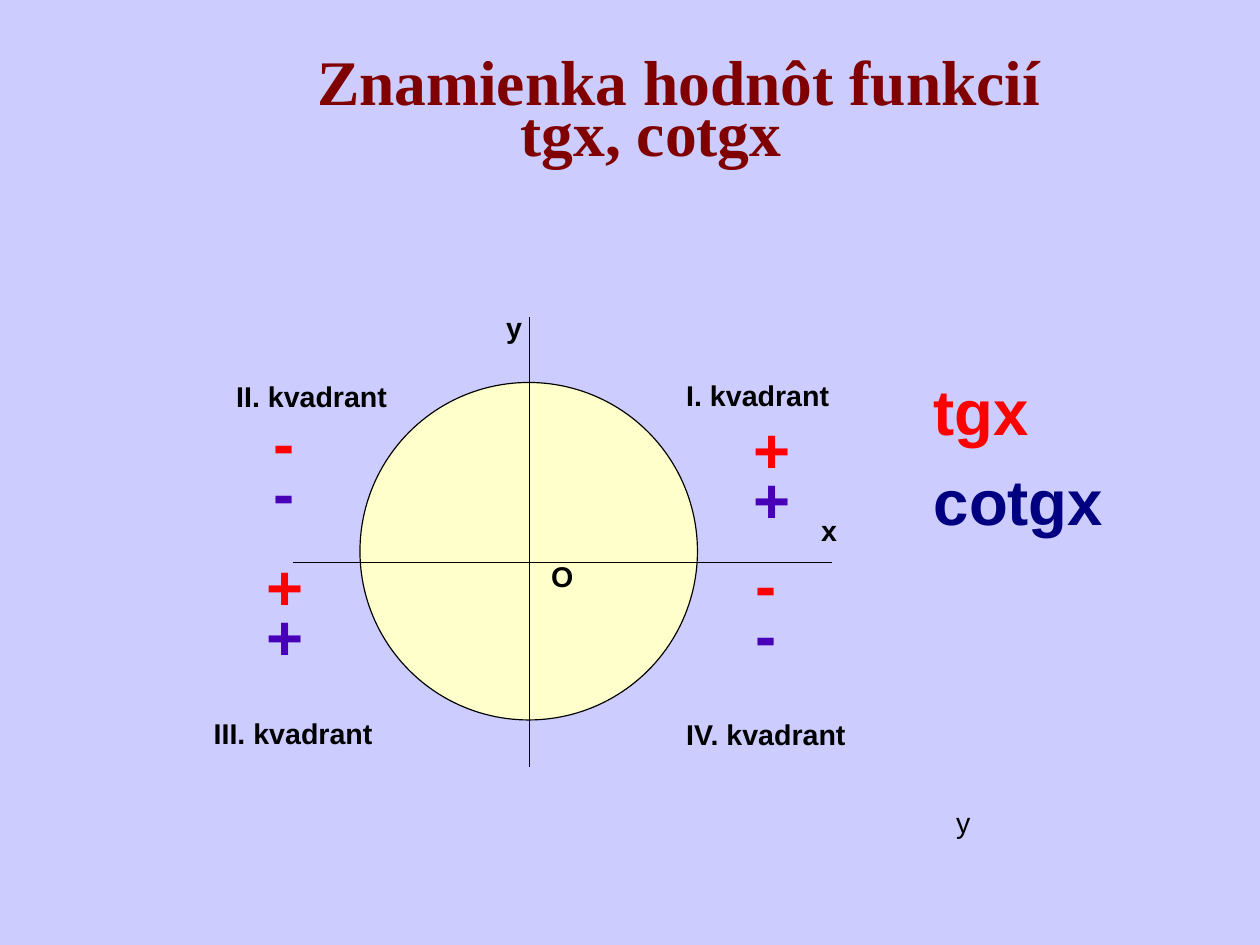
from lxml.etree import SubElement
from pptx import Presentation
from pptx.dml.color import RGBColor
from pptx.enum.shapes import MSO_CONNECTOR, MSO_SHAPE
from pptx.enum.text import MSO_ANCHOR, MSO_AUTO_SIZE, PP_ALIGN
from pptx.oxml.ns import qn
from pptx.util import Cm, Pt

LAVENDER = RGBColor(0xCC, 0xCC, 0xFF)
CREAM = RGBColor(0xFF, 0xFF, 0xCC)
MAROON = RGBColor(0x80, 0x00, 0x00)
BLACK = RGBColor(0x00, 0x00, 0x00)
RED = RGBColor(0xFF, 0x00, 0x00)
NAVY = RGBColor(0x00, 0x00, 0x80)
VIOLET = RGBColor(0x47, 0x00, 0xB8)

LINE_WIDTH = Pt(0.75)
QUADRANTS = [
    ("I. kvadrant", 15, 8.5, 3.68),
    ("II. kvadrant", 5, 8.53, 3.86),
    ("III. kvadrant", 4.5, 16.02, 4.04),
    ("IV. kvadrant", 15, 16.03, 4.09),
]
AXIS_LABELS = [
    ("x", 18, 11.5, 0.86),
    ("y", 11, 7, 0.86),
    ("O", 12, 12.52, 0.99),
]
SIGNS = [
    ("+", 16.5, 9.5, 1.32),
    ("-", 5.82, 9.35, 0.97),
    ("+", 5.67, 12.55, 1.32),
    ("-", 16.53, 12.5, 0.97),
]


def format_paragraph(paragraph, font_name, size, color, bold, spacing):
    paragraph.line_spacing = spacing
    font = paragraph.font
    font.name = font_name
    font.size = Pt(size)
    font.bold = bold
    font.color.rgb = color


def add_title(slide):
    """Centre the two lines, with the first one indented."""
    box = slide.shapes.add_textbox(Cm(1.4), Cm(1.45), Cm(25.2), Cm(2.26))
    frame = box.text_frame
    frame.word_wrap = True
    frame.vertical_anchor = MSO_ANCHOR.MIDDLE
    frame.margin_left = frame.margin_right = 0
    frame.margin_top = frame.margin_bottom = 0
    frame.text = "Znamienka hodnôt funkcií\vtgx, cotgx"
    paragraph = frame.paragraphs[0]
    paragraph.alignment = PP_ALIGN.CENTER
    properties = paragraph._p.get_or_add_pPr()
    properties.set("marL", str(Cm(0.94)))
    properties.set("indent", str(Cm(1.22)))
    format_paragraph(paragraph, "Times New Roman", 40, MAROON, True, 0.67)


def add_label(slide, text, left, top, width, size=18, colors=(BLACK,), bold=True):
    """Write one paragraph for each line of text, in the matching colour."""
    height = 0.034 * size * len(colors) + 0.2
    box = slide.shapes.add_textbox(Cm(left), Cm(top), Cm(width), Cm(height))
    frame = box.text_frame
    frame.word_wrap = False
    frame.auto_size = MSO_AUTO_SIZE.SHAPE_TO_FIT_TEXT
    frame.text = text
    for paragraph, color in zip(frame.paragraphs, colors):
        format_paragraph(paragraph, "Arial", size, color, bold, 0.66)


def add_circle(slide):
    circle = slide.shapes.add_shape(
        MSO_SHAPE.OVAL, Cm(8), Cm(8.5), Cm(7.5), Cm(7.5))
    circle.shadow.inherit = False
    circle.fill.solid()
    circle.fill.fore_color.rgb = CREAM
    circle.line.color.rgb = BLACK
    circle.line.width = LINE_WIDTH


def add_axis(slide, start_x, start_y, end_x, end_y):
    axis = slide.shapes.add_connector(
        MSO_CONNECTOR.STRAIGHT, Cm(start_x), Cm(start_y), Cm(end_x), Cm(end_y))
    axis.line.color.rgb = BLACK
    axis.line.width = LINE_WIDTH
    SubElement(axis._element.spPr, qn("a:effectLst"))


def main():
    presentation = Presentation()
    presentation.slide_width = Cm(28)
    presentation.slide_height = Cm(21)
    slide = presentation.slides.add_slide(presentation.slide_layouts[6])
    slide.background.fill.solid()
    slide.background.fill.fore_color.rgb = LAVENDER

    add_title(slide)
    add_circle(slide)
    add_axis(slide, 11.76, 7.04, 11.76, 17.04)
    add_axis(slide, 6.5, 12.5, 18.5, 12.5)
    for text, left, top, width in QUADRANTS + AXIS_LABELS:
        add_label(slide, text, left, top, width)
    add_label(slide, "tgx", 20.5, 8.66, 2.62, size=40, colors=(RED,))
    add_label(slide, "cotgx", 20.5, 10.67, 4.27, size=40, colors=(NAVY,))
    add_label(slide, "y", 21, 18, 0.84, bold=False)
    for sign, left, top, width in SIGNS:
        add_label(slide, f"{sign}\n{sign}", left, top, width,
                  size=40, colors=(RED, VIOLET))
    presentation.save("out.pptx")


if __name__ == "__main__":
    main()
